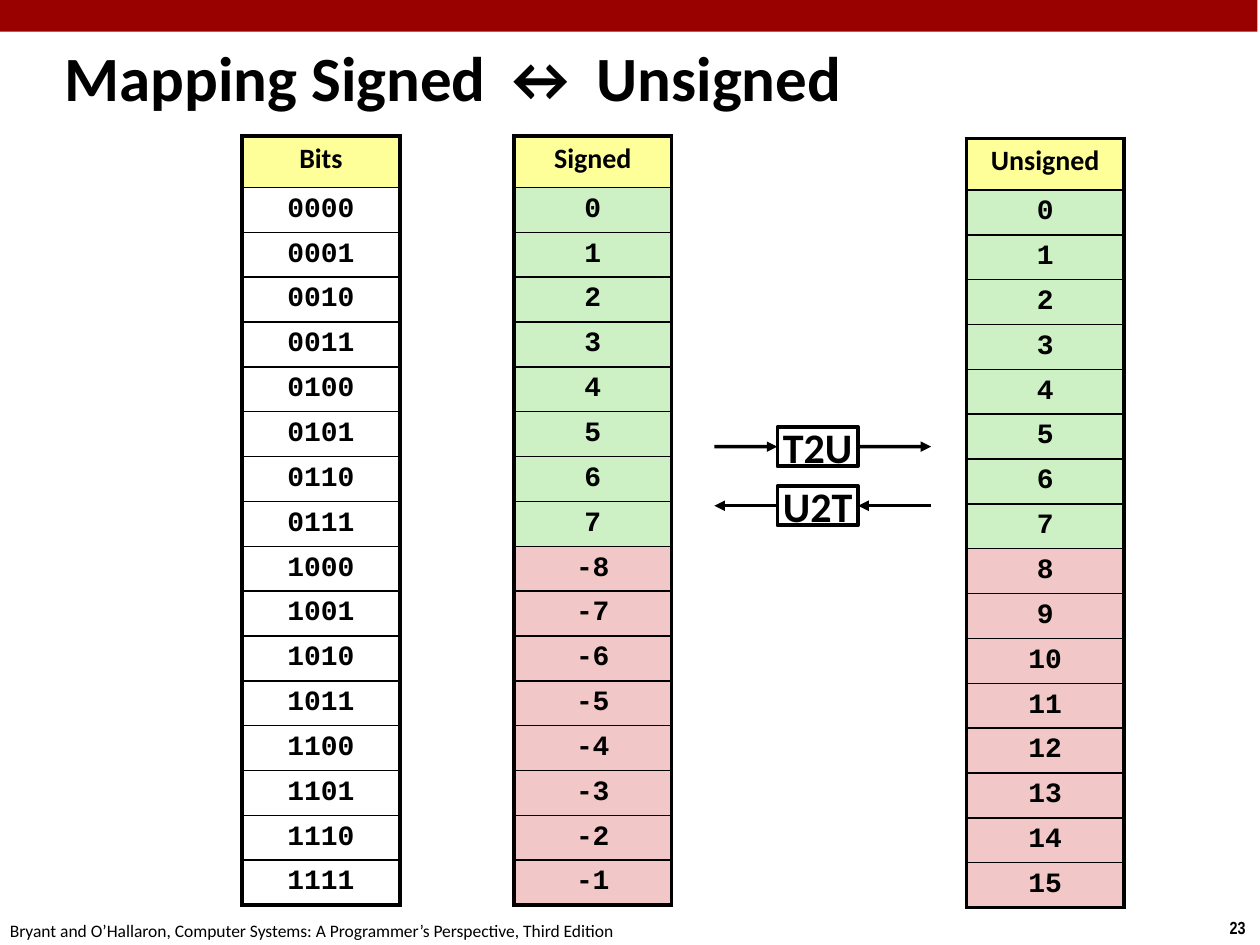
from lxml.etree import SubElement
from pptx import Presentation
from pptx.dml.color import RGBColor
from pptx.enum.shapes import MSO_CONNECTOR, MSO_SHAPE
from pptx.enum.text import MSO_ANCHOR, PP_ALIGN
from pptx.oxml.ns import qn
from pptx.util import Cm, Pt

BLACK = RGBColor(0x00, 0x00, 0x00)
WHITE = RGBColor(0xFF, 0xFF, 0xFF)
RED = RGBColor(0x99, 0x00, 0x00)
YELLOW = RGBColor(0xFF, 0xFF, 0x99)
GREEN = RGBColor(0xCD, 0xF1, 0xC5)
PINK = RGBColor(0xF1, 0xC7, 0xC7)


def write(text_frame, text, size, font_name="Calibri", bold=True):
    text_frame.text = text
    paragraph = text_frame.paragraphs[0]
    font = paragraph.runs[0].font
    font.size = Pt(size)
    font.name = font_name
    font.bold = bold
    font.color.rgb = BLACK
    return paragraph


def add_arrow(start_x, end_x, y):
    arrow = slide.shapes.add_connector(
        MSO_CONNECTOR.STRAIGHT, Cm(start_x), Cm(y), Cm(end_x), Cm(y))
    arrow.line.color.rgb = BLACK
    arrow.line.width = Pt(2)
    SubElement(arrow.line._get_or_add_ln(), qn("a:tailEnd"), type="triangle")
    SubElement(arrow._element.spPr, qn("a:effectLst"))
    return arrow


presentation = Presentation()
presentation.slide_width = Cm(25.4)
presentation.slide_height = Cm(19.05)
slide = presentation.slides.add_slide(presentation.slide_layouts[6])

# Top bar
bar = slide.shapes.add_shape(
    MSO_SHAPE.RECTANGLE, Cm(-0.05), Cm(0), Cm(25.4), Cm(0.64))
bar.shadow.inherit = False
bar.fill.solid()
bar.fill.fore_color.rgb = RED
bar.line.fill.background()

# Title, footer and page number
title = slide.shapes.add_textbox(Cm(1.12), Cm(0.69), Cm(18.95), Cm(1.55))
title_frame = title.text_frame
title_frame.word_wrap = True
title_frame.margin_left = title_frame.margin_right = Cm(0.18)
title_frame.margin_top = title_frame.margin_bottom = Cm(0.08)
write(title_frame, "Mapping Signed ↔ Unsigned", 36)

footer = slide.shapes.add_textbox(Cm(-0.05), Cm(18.42), Cm(12.9), Cm(0.69))
footer.text_frame.word_wrap = True
write(footer.text_frame,
      "Bryant and O’Hallaron, Computer Systems: "
      "A Programmer’s Perspective, Third Edition", 10, bold=False)

page_number = slide.shapes.add_textbox(Cm(24.54), Cm(18.36), Cm(0.86), Cm(0.69))
write(page_number.text_frame, "23", 10, "Arial Narrow")

# Tables: bit pattern, signed value, unsigned value
numbers = range(16)
columns = [
    ("Signed", 10.36, 2.74, [str(n if n < 8 else n - 16) for n in numbers], True),
    ("Unsigned", 19.48, 2.79, [str(n) for n in numbers], True),
    ("Bits", 4.88, 2.74, [f"{n:04b}" for n in numbers], False),
]
HEADER_HEIGHT, ROW_HEIGHT, TABLE_WIDTH = 1.04, 0.9, 3.18

for heading, left, top, values, shaded in columns:
    entries = [heading] + values
    table = slide.shapes.add_table(
        len(entries), 1, Cm(left), Cm(top), Cm(TABLE_WIDTH),
        Cm(HEADER_HEIGHT + ROW_HEIGHT * len(values))).table
    table.first_row = table.horz_banding = False

    for index, entry in enumerate(entries):
        is_header = index == 0
        table.rows[index].height = Cm(HEADER_HEIGHT if is_header else ROW_HEIGHT)
        cell = table.cell(index, 0)
        cell.margin_left = cell.margin_right = Cm(0.13)
        cell.margin_top = cell.margin_bottom = Cm(0.13)
        paragraph = write(cell.text_frame, entry, 16,
                          "Calibri" if is_header else "Courier New")
        paragraph.alignment = PP_ALIGN.CENTER
        paragraph.line_spacing = 0.95

        # Thick outline, thin rules between rows
        borders = {
            "a:lnL": 2.25,
            "a:lnR": 2.25,
            "a:lnT": 2.25 if is_header else 1,
            "a:lnB": 2.25 if index == len(values) else 1,
        }
        for tag, width in borders.items():
            border = SubElement(cell._tc.get_or_add_tcPr(), qn(tag), w=str(Pt(width)))
            border_fill = SubElement(border, qn("a:solidFill"))
            SubElement(border_fill, qn("a:srgbClr"), val=str(BLACK))

        if is_header or shaded:
            cell.fill.solid()
            cell.fill.fore_color.rgb = (
                YELLOW if is_header else GREEN if index <= 8 else PINK)
        else:
            cell.fill.background()

# Conversion boxes with arrows in and out
BOX_LEFT, BOX_WIDTH, BOX_HEIGHT = 15.67, 1.63, 0.79
ARROWS_LEFT, ARROWS_RIGHT = 14.4, 18.77
BOX_RIGHT = BOX_LEFT + BOX_WIDTH

for label, top, rightward in [("U2T", 9.8, False), ("T2U", 8.61, True)]:
    box = slide.shapes.add_shape(
        MSO_SHAPE.RECTANGLE, Cm(BOX_LEFT), Cm(top), Cm(BOX_WIDTH), Cm(BOX_HEIGHT))
    box.shadow.inherit = False
    box.fill.solid()
    box.fill.fore_color.rgb = WHITE
    box.line.color.rgb = BLACK
    box.line.width = Pt(2)
    box.text_frame.word_wrap = False
    box.text_frame.vertical_anchor = MSO_ANCHOR.MIDDLE
    write(box.text_frame, label, 24).alignment = PP_ALIGN.CENTER

    middle = top + BOX_HEIGHT / 2
    if rightward:
        add_arrow(ARROWS_LEFT, BOX_LEFT, middle).end_connect(box, 1)
        add_arrow(BOX_RIGHT, ARROWS_RIGHT, middle).begin_connect(box, 3)
    else:
        add_arrow(BOX_LEFT, ARROWS_LEFT, middle).begin_connect(box, 1)
        add_arrow(ARROWS_RIGHT, BOX_RIGHT, middle).end_connect(box, 3)

presentation.save("out.pptx")
